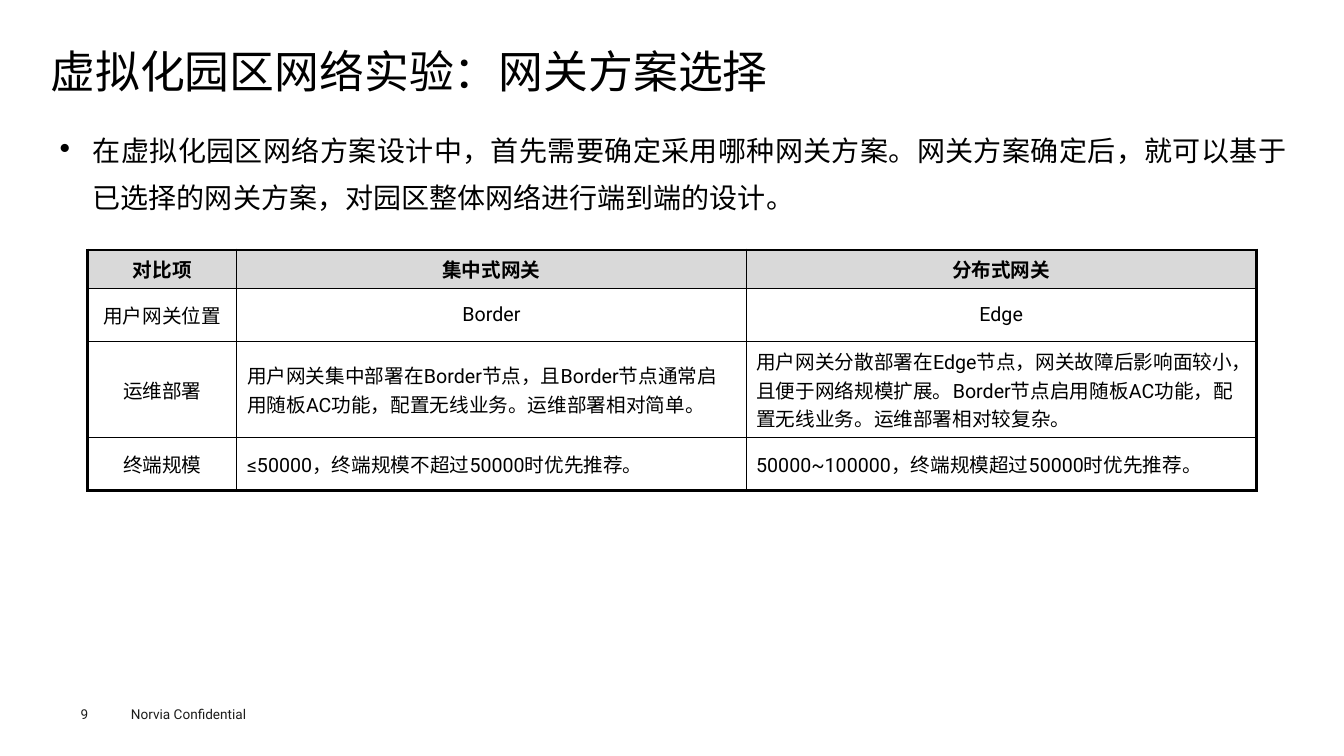
"""Builds the slide that compares the two campus network gateway options."""
from dataclasses import dataclass
from typing import Any

from lxml.etree import SubElement
from pptx import Presentation
from pptx.dml.color import RGBColor
from pptx.enum.text import MSO_ANCHOR as Anchor, PP_ALIGN as Align
from pptx.oxml.ns import qn
from pptx.util import Inches, Pt

FONT = "Roboto"
BLACK, INK, HEADER_GREY, WHITE = "000000", "1D1D1B", "D9D9D9", "FFFFFF"
THIN, THICK = 0.75, 2.25
COLUMN_WIDTHS = (1.48, 5.05, 5.06)
ROW_HEIGHTS = (0.38, 0.53, 0.95, 0.53)
COMPARISON = (
    ("对比项", "集中式网关", "分布式网关"),
    ("用户网关位置", "Border", "Edge"),
    (
        "运维部署",
        "用户网关集中部署在Border节点，且Border节点通常启用随板AC功能，配置无线业务。运维部署相对简单。",
        "用户网关分散部署在Edge节点，网关故障后影响面较小，且便于网络规模扩展。Border节点启用随板AC功能，配置无线业务。运维部署相对较复杂。",
    ),
    (
        "终端规模",
        "≤50000，终端规模不超过50000时优先推荐。",
        "50000~100000，终端规模超过50000时优先推荐。",
    ),
)


@dataclass(frozen=True)
class TextBlock:
    text: str
    box: tuple[float, float, float, float]
    size: float
    color: str = BLACK
    insets: tuple[float, float, float, float] = (0, 0, 0, 0)
    anchor: Any = Anchor.TOP
    align: Any = Align.LEFT
    line_spacing: float = 1.0
    bullet_indent: float = 0


BLOCKS = (
    TextBlock("Norvia Confidential", (1.2, 6.95, 1.6, 0.27), 9.7, INK,
              (0.1, 0.05, 0.1, 0.05)),
    TextBlock("9", (0.8, 7, 0.55, 0.16), 9.7, INK),
    TextBlock("虚拟化园区网络实验：网关方案选择", (0.5, 0.49, 12.35, 0.53), 32,
              line_spacing=0.9),
    TextBlock("在虚拟化园区网络方案设计中，首先需要确定采用哪种网关方案。网关方案确定后，"
              "就可以基于已选择的网关方案，对园区整体网络进行端到端的设计。",
              (0.5, 1.15, 12.35, 1.12), 20, insets=(0.09, 0.04, 0.09, 0.04),
              align=Align.JUSTIFY, line_spacing=1.4, bullet_indent=0.33),
)


def rgb(color: str) -> RGBColor:
    return RGBColor.from_string(color)


def apply_format(target: Any, values: dict[str, Any]) -> None:
    for attribute, value in values.items():
        setattr(target, attribute, value)


def style_font(font: Any, size: float, color: str = BLACK, bold: bool = False) -> None:
    apply_format(font, {"name": FONT, "size": Pt(size), "bold": bold})
    font.color.rgb = rgb(color)


def add_bullet(paragraph: Any, indent: float) -> None:
    properties = paragraph._p.get_or_add_pPr()
    properties.set("marL", str(Inches(indent)))
    properties.set("indent", str(-Inches(indent)))
    SubElement(properties, qn("a:buSzPct")).set("val", "50000")
    SubElement(properties, qn("a:buFont")).set("typeface", "Wingdings")
    SubElement(properties, qn("a:buChar")).set("char", "l")


def add_text(slide: Any, block: TextBlock) -> None:
    frame = slide.shapes.add_textbox(*map(Inches, block.box)).text_frame
    left, top, right, bottom = map(Inches, block.insets)
    apply_format(frame, {
        "word_wrap": True, "vertical_anchor": block.anchor,
        "margin_left": left, "margin_top": top,
        "margin_right": right, "margin_bottom": bottom,
    })
    paragraph = frame.paragraphs[0]
    if block.bullet_indent:
        add_bullet(paragraph, block.bullet_indent)
    apply_format(paragraph, {"alignment": block.align, "line_spacing": block.line_spacing})
    run = paragraph.add_run()
    run.text = block.text
    style_font(run.font, block.size, block.color)


def add_borders(cell: Any, widths: dict[str, float]) -> None:
    properties = cell._tc.get_or_add_tcPr()
    for side, width in widths.items():
        line = SubElement(properties, qn(f"a:ln{side}"), w=str(Pt(width)))
        fill = SubElement(line, qn("a:solidFill"))
        SubElement(fill, qn("a:srgbClr")).set("val", BLACK)


def add_comparison(slide: Any) -> None:
    last_row, last_column = len(ROW_HEIGHTS) - 1, len(COLUMN_WIDTHS) - 1
    table = slide.shapes.add_table(
        len(ROW_HEIGHTS), len(COLUMN_WIDTHS), Inches(0.87), Inches(2.48),
        Inches(sum(COLUMN_WIDTHS)), Inches(sum(ROW_HEIGHTS))).table
    apply_format(table, {"first_row": False, "horz_banding": False})
    for column, width in zip(table.columns, COLUMN_WIDTHS):
        column.width = Inches(width)
    for r, (height, texts) in enumerate(zip(ROW_HEIGHTS, COMPARISON)):
        table.rows[r].height = Inches(height)
        for c, text in enumerate(texts):
            cell = table.cell(r, c)
            edges = {"L": c == 0, "R": c == last_column, "T": r == 0, "B": r == last_row}
            add_borders(cell, {side: THICK if outer else THIN for side, outer in edges.items()})
            cell.fill.solid()
            cell.fill.fore_color.rgb = rgb(HEADER_GREY if r == 0 else WHITE)
            cell.vertical_anchor = Anchor.MIDDLE
            paragraph = cell.text_frame.paragraphs[0]
            paragraph.alignment = Align.CENTER if c == 0 or r < 2 else Align.LEFT
            run = paragraph.add_run()
            run.text = text
            style_font(run.font, 14, bold=r == 0)


def main() -> None:
    deck = Presentation()
    apply_format(deck, {"slide_width": Inches(13.33), "slide_height": Inches(7.5)})
    slide = deck.slides.add_slide(deck.slide_layouts[6])
    for block in BLOCKS:
        add_text(slide, block)
    add_comparison(slide)
    deck.save("out.pptx")


if __name__ == "__main__":
    main()
